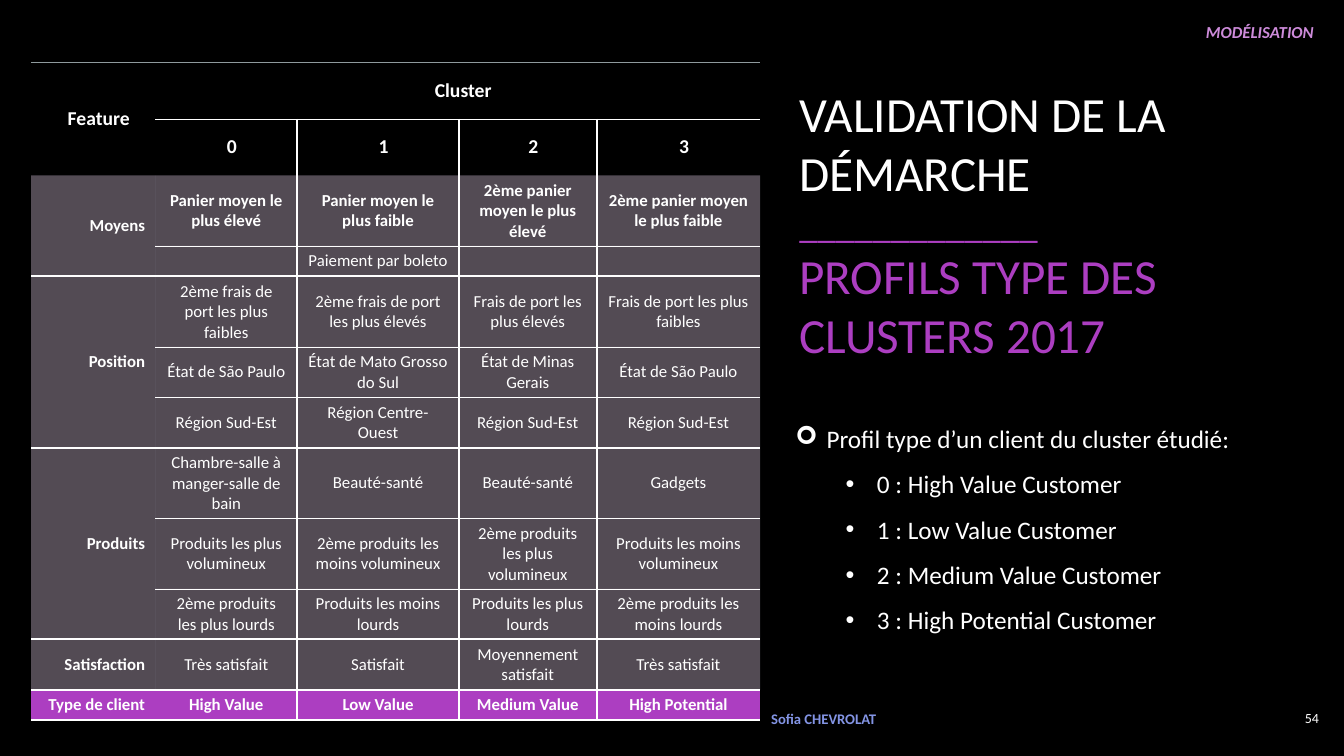
from lxml import etree
from pptx import Presentation
from pptx.dml.color import RGBColor
from pptx.enum import text as t
from pptx.oxml import ns
from pptx.util import Inches, Pt

BLACK = RGBColor(0x00, 0x00, 0x00)
WHITE = RGBColor(0xFF, 0xFF, 0xFF)
PURPLE = RGBColor(0xAC, 0x3E, 0xC1)
LILAC = RGBColor(0xCD, 0x8B, 0xDA)
PALE = RGBColor(0xEE, 0xD8, 0xF3)
BLUE = RGBColor(0x83, 0x94, 0xE4)
GREY = RGBColor(0x8F, 0x9A, 0x9D)
FONT = "Calibri"
NO_STYLE = "{2D5ABB26-0587-4C30-8999-92F81FD0307C}"
THIN, THICK = 0.25, 1.5

COLUMN_WIDTHS = [1.23, 1.41, 1.6, 1.37, 1.62]
ROW_HEIGHTS = [0.56, 0.56, 0.7, 0.3, 0.7, 0.5, 0.5, 0.7, 0.7, 0.5, 0.5, 0.3]
HEADER = [["Feature", "Cluster", "", "", ""], ["", "0", "1", "2", "3"]]
GROUPS = [
    ("Moyens", [
        ["Panier moyen le plus élevé", "Panier moyen le plus faible",
         "2ème panier moyen le plus élevé", "2ème panier moyen le plus faible"],
        ["", "Paiement par boleto", "", ""]]),
    ("Position", [
        ["2ème frais de port les plus faibles", "2ème frais de port les plus élevés",
         "Frais de port les plus élevés", "Frais de port les plus faibles"],
        ["État de São Paulo", "État de Mato Grosso do Sul",
         "État de Minas Gerais", "État de São Paulo"],
        ["Région Sud-Est", "Région Centre-Ouest", "Région Sud-Est", "Région Sud-Est"]]),
    ("Produits", [
        ["Chambre-salle à manger-salle de bain", "Beauté-santé", "Beauté-santé", "Gadgets"],
        ["Produits les plus volumineux", "2ème produits les moins volumineux",
         "2ème produits les plus volumineux", "Produits les moins volumineux"],
        ["2ème produits les plus lourds", "Produits les moins lourds",
         "Produits les plus lourds", "2ème produits les moins lourds"]]),
    ("Satisfaction", [
        ["Très satisfait", "Satisfait", "Moyennement satisfait", "Très satisfait"]]),
    ("Type de client", [["High Value", "Low Value", "Medium Value", "High Potential"]]),
]
PROFILES = ["0 : High Value Customer", "1 : Low Value Customer",
            "2 : Medium Value Customer", "3 : High Potential Customer"]


def add_child(parent, tag, **attributes):
    """Append a DrawingML element to its parent."""
    return etree.SubElement(parent, ns.qn("a:" + tag), attributes)


def set_font(font, size, color, bold=False, italic=False):
    """Give a font its face, size, colour and weight."""
    font.name, font.size, font.bold, font.italic = FONT, Pt(size), bold, italic
    font.color.rgb = color


def add_text_frame(slide, box, anchor=t.MSO_ANCHOR.TOP):
    """Add a wrapping text box and return its frame."""
    frame = slide.shapes.add_textbox(*map(Inches, box)).text_frame
    frame.word_wrap = True
    frame.vertical_anchor = anchor
    return frame


def add_label(slide, box, wording, size, color, align=t.PP_ALIGN.LEFT, **weight):
    """Place a one-line label in its box."""
    label = add_text_frame(slide, box, t.MSO_ANCHOR.MIDDLE).paragraphs[0]
    label.text, label.alignment = wording, align
    set_font(label.font, size, color, **weight)


def add_title(slide, box):
    """Place the two-part title with its dividing rule."""
    frame = add_text_frame(slide, box, t.MSO_ANCHOR.MIDDLE)
    heading, subject = frame.paragraphs[0], frame.add_paragraph()
    approach = heading.add_run()
    approach.text = "VALIDATION DE LA DÉMARCHE"
    set_font(approach.font, 35.1, WHITE)
    heading.add_line_break()
    divider = heading.add_run()
    divider.text = "_____________"
    set_font(divider.font, 26.3, PURPLE)
    subject.text = "PROFILS TYPE DES CLUSTERS 2017"
    set_font(subject.font, 35.1, PURPLE)


def add_profiles(slide, box):
    """List the customer profile of each cluster."""
    frame = add_text_frame(slide, box)
    items = [("Profil type d’un client du cluster étudié:", 0)] + [(p, 1) for p in PROFILES]
    for index, (wording, level) in enumerate(items):
        item = frame.add_paragraph() if index else frame.paragraphs[0]
        item.text, item.level, item.line_spacing = wording, level, 1.5
        properties = item._p.get_or_add_pPr()
        properties.set("marL", str(Inches(0.31 + 0.5 * level)))
        properties.set("indent", str(Inches(-0.31)))
        add_child(properties, "buFont", typeface="Arial" if level else "Wingdings")
        add_child(properties, "buChar", char="•" if level else "➢")
        set_font(item.font, 18, WHITE)


def add_border(cell, side, width, color=WHITE, opacity=100):
    """Draw one cell border, or none when the width is zero."""
    line = add_child(cell._tc.get_or_add_tcPr(), "ln" + side, w=str(Pt(width)))
    if not width:
        add_child(line, "noFill")
        return
    paint = add_child(add_child(line, "solidFill"), "srgbClr", val=str(color))
    if opacity < 100:
        add_child(paint, "alpha", val=str(opacity * 1000))


def width_below(row, column, group_ends):
    """Return the width of the rule under a cell."""
    if row in group_ends:
        return THICK
    return THIN if column and row != 1 else 0


def style_cell(cell, row, column, wording, group_ends):
    """Fill one cell with its text, borders and colour."""
    last_row, last_column = len(ROW_HEIGHTS) - 1, len(COLUMN_WIDTHS) - 1
    in_header = row < len(HEADER)
    add_border(cell, "L", THICK if row and column > 1 else 0)
    add_border(cell, "R", THICK if row and 0 < column < last_column else 0)
    if row:
        add_border(cell, "T", width_below(row - 1, column, group_ends))
    else:
        add_border(cell, "T", THICK, GREY, 60)
    add_border(cell, "B", width_below(row, column, group_ends))
    if in_header:
        cell.fill.background()
        cell.margin_left = Inches(0.27)
        cell.margin_top = cell.margin_right = cell.margin_bottom = Inches(0.16)
    else:
        cell.fill.solid()
        cell.fill.fore_color.rgb = PURPLE if row == last_row else PALE
        if row < last_row:
            paint = next(cell._tc.tcPr.find(ns.qn("a:solidFill")).iterchildren())
            add_child(paint, "alpha", val="35000")
    cell.vertical_anchor = t.MSO_ANCHOR.MIDDLE
    entry = cell.text_frame.paragraphs[0]
    if not wording:
        add_child(entry._p, "endParaRPr", sz="1200")
        return
    entry.text = wording
    entry.alignment = t.PP_ALIGN.CENTER if in_header or column else t.PP_ALIGN.RIGHT
    bold = row <= len(HEADER) or row == last_row or column == 0
    set_font(entry.font, 14 if in_header else 12, WHITE, bold)


def add_clusters(slide, box):
    """Build the table of cluster features."""
    rows, merges, group_ends = list(HEADER), [(0, 0, 1, 0), (0, 1, 0, 4)], set()
    for name, lines in GROUPS:
        first = len(rows)
        rows += [["" if i else name] + line for i, line in enumerate(lines)]
        group_ends.add(len(rows) - 1)
        if len(lines) > 1:
            merges.append((first, 0, len(rows) - 1, 0))
    clusters = slide.shapes.add_table(len(rows), len(COLUMN_WIDTHS), *map(Inches, box)).table
    clusters.first_row = clusters.horz_banding = False
    clusters._tbl.tblPr.find(ns.qn("a:tableStyleId")).text = NO_STYLE
    for column, width in zip(clusters.columns, COLUMN_WIDTHS):
        column.width = Inches(width)
    for row, height in zip(clusters.rows, ROW_HEIGHTS):
        row.height = Inches(height)
    for row, line in enumerate(rows):
        for column, wording in enumerate(line):
            style_cell(clusters.cell(row, column), row, column, wording, group_ends)
    for top, left, bottom, right in merges:
        clusters.cell(top, left).merge(clusters.cell(bottom, right))


def main():
    """Build the slide and save it."""
    deck = Presentation()
    deck.slide_width, deck.slide_height = Inches(13.33), Inches(7.5)
    slide = deck.slides.add_slide(deck.slide_layouts[6])
    slide.background.fill.solid()
    slide.background.fill.fore_color.rgb = BLACK
    add_label(slide, (12.58, 6.92, 0.6, 0.41), "54", 10, WHITE, t.PP_ALIGN.RIGHT)
    add_label(slide, (7.55, 6.92, 1.76, 0.41), "Sofia CHEVROLAT", 10.5, BLUE, bold=True)
    add_profiles(slide, (7.79, 4, 5.23, 2.68))
    add_title(slide, (7.83, 0.69, 5.05, 3.06))
    add_clusters(slide, (0.31, 0.62, 7.23, 6.51))
    add_label(slide, (7.67, 0.17, 5.46, 0.3), "MODÉLISATION", 12, LILAC,
              t.PP_ALIGN.RIGHT, bold=True, italic=True)
    deck.save("out.pptx")


if __name__ == "__main__":
    main()
